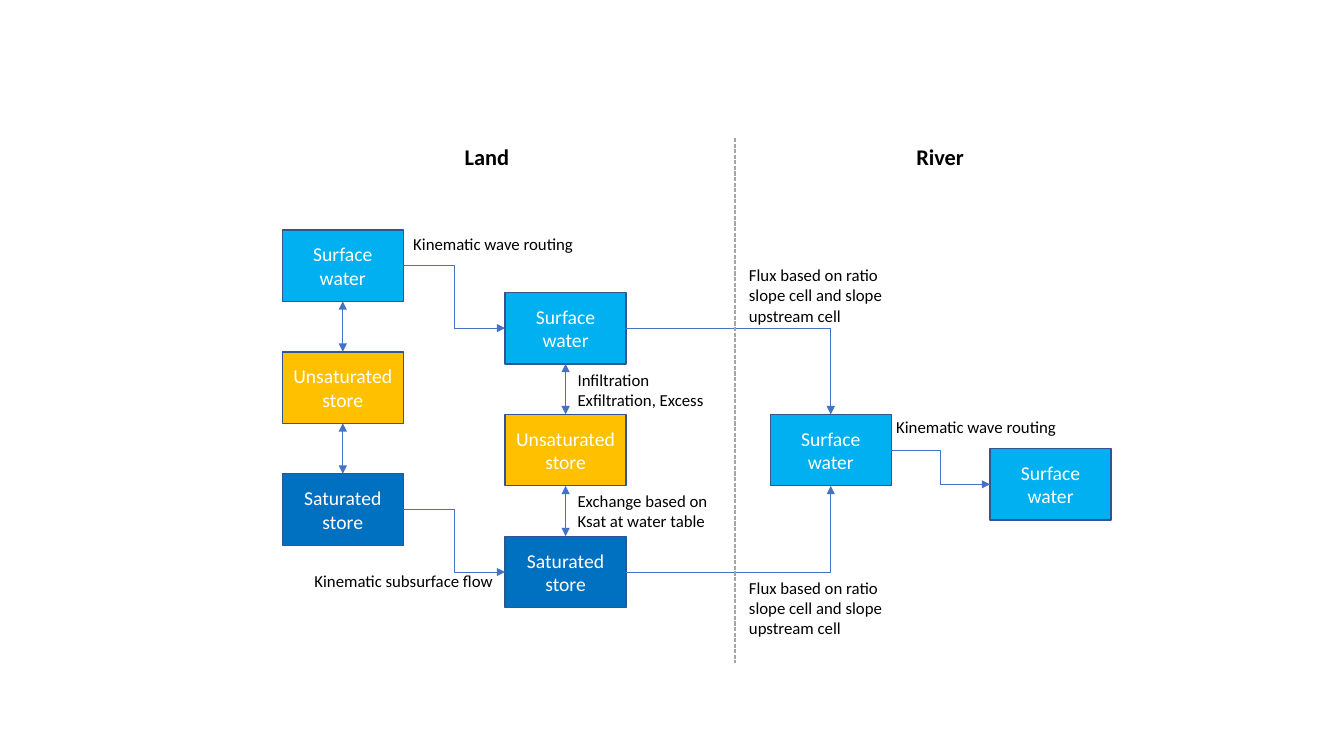
import lxml.etree
import pptx
import pptx.dml.color
import pptx.enum.dml
import pptx.enum.shapes
import pptx.enum.text
import pptx.oxml.ns
import pptx.util

PX = 9144  # 100 px to the inch

THEME = {
    "font": "Calibri",
    "surface": "00B0F0",
    "unsaturated": "FFC000",
    "saturated": "0070C0",
    "border": "325491",
    "arrow": "4472C4",
    "divider": "A5A5A5",
    "box_text": "FFFFFF",
    "text": "000000",
    "box_size": 14,
    "label_size": 12,
    "heading_size": 16,
}


def write_text(shape, text, size, color, frame_format, bold=False, alignment=None):
    frame = shape.text_frame
    frame.text = text
    for name, value in frame_format.items():
        setattr(frame, name, value)
    for paragraph in frame.paragraphs:
        paragraph.alignment = alignment
        font = paragraph.runs[0].font
        font_format = {"name": THEME["font"], "size": pptx.util.Pt(THEME[size]), "bold": bold}
        for name, value in font_format.items():
            setattr(font, name, value)
        font.color.rgb = pptx.dml.color.RGBColor.from_string(THEME[color])


def style_connector(connector, color, width, ends=()):
    connector.line.color.rgb = pptx.dml.color.RGBColor.from_string(THEME[color])
    connector.line.width = pptx.util.Pt(width)
    line = connector.line._get_or_add_ln()
    for end in ends:
        lxml.etree.SubElement(line, pptx.oxml.ns.qn("a:" + end), type="triangle")
    lxml.etree.SubElement(connector._element.spPr, pptx.oxml.ns.qn("a:effectLst"))


presentation = pptx.Presentation()
presentation.slide_width = 1333 * PX
presentation.slide_height = 750 * PX
slide = presentation.slides.add_slide(presentation.slide_layouts[6])

# Stores: two land columns of three layers, then two river cells
BOX_WIDTH, BOX_HEIGHT, LAYER_STEP = 120, 71, 121
layers = [
    ("surface", "Surface water"),
    ("unsaturated", "Unsaturated store"),
    ("saturated", "Saturated store"),
]
stores = [
    (column, kind, text, left, top + row * LAYER_STEP)
    for column, left, top in [("upstream", 280, 228), ("downstream", 501, 290)]
    for row, (kind, text) in enumerate(layers)
]
stores += [
    ("river", *layers[0], 764, 411),
    ("river outlet", *layers[0], 982, 445),
]
boxes = {}
for column, kind, text, left, top in stores:
    box = slide.shapes.add_shape(
        pptx.enum.shapes.MSO_SHAPE.RECTANGLE,
        left * PX, top * PX, BOX_WIDTH * PX, BOX_HEIGHT * PX,
    )
    box.shadow.inherit = False
    box.fill.solid()
    box.fill.fore_color.rgb = pptx.dml.color.RGBColor.from_string(THEME[kind])
    box.line.color.rgb = pptx.dml.color.RGBColor.from_string(THEME["border"])
    box.line.width = pptx.util.Pt(1)
    box_format = {"word_wrap": True, "vertical_anchor": pptx.enum.text.MSO_ANCHOR.MIDDLE}
    write_text(box, text, "box_size", "box_text", box_format,
               alignment=pptx.enum.text.PP_ALIGN.CENTER)
    boxes[column, kind] = box

# Flows between stores, glued to the sides of the boxes
TOP, LEFT, BOTTOM, RIGHT = range(4)
upstream, downstream, river, outlet = "upstream", "downstream", "river", "river outlet"
flows = [
    (column, upper, BOTTOM, column, lower, TOP, "line")
    for column in (upstream, downstream)
    for upper, lower in [("surface", "unsaturated"), ("unsaturated", "saturated")]
]
flows += [
    (upstream, "surface", RIGHT, downstream, "surface", LEFT, "bentConnector3"),
    (upstream, "saturated", RIGHT, downstream, "saturated", LEFT, "bentConnector3"),
    (downstream, "surface", RIGHT, river, "surface", TOP, "bentConnector2"),
    (downstream, "saturated", RIGHT, river, "surface", BOTTOM, "bentConnector2"),
    (river, "surface", RIGHT, outlet, "surface", LEFT, "bentConnector3"),
]
for from_column, from_kind, from_side, to_column, to_kind, to_side, route in flows:
    straight = route == "line"
    connector_type = pptx.enum.shapes.MSO_CONNECTOR
    connector = slide.shapes.add_connector(
        connector_type.STRAIGHT if straight else connector_type.ELBOW, 0, 0, 0, 0
    )
    connector.begin_connect(boxes[from_column, from_kind], from_side)
    connector.end_connect(boxes[to_column, to_kind], to_side)
    geometry = connector._element.spPr.find(pptx.oxml.ns.qn("a:prstGeom"))
    geometry.set("prst", route)
    style_connector(connector, "arrow", 0.5, ("headEnd", "tailEnd") if straight else ("tailEnd",))

# Headings and flow labels: text, left, top, width, height, wrap, size
flux = "Flux based on ratio slope cell and slope upstream cell"
labels = [
    ("Land", 451, 137, 65, 37, False, "heading_size"),
    ("River", 899, 137, 68, 37, True, "heading_size"),
    ("Kinematic wave routing", 400, 227, 181, 30, False, "label_size"),
    ("Kinematic subsurface flow", 302, 561, 199, 30, False, "label_size"),
    ("Kinematic wave routing", 879, 409, 208, 30, True, "label_size"),
    ("Infiltration\nExfiltration, Excess", 563, 362, 161, 50, True, "label_size"),
    ("Exchange based on Ksat at water table", 563, 482, 151, 71, True, "label_size"),
    (flux, 733, 568, 182, 91, True, "label_size"),
    (flux, 733, 258, 153, 91, True, "label_size"),
]
for text, left, top, width, height, wrap, size in labels:
    label = slide.shapes.add_textbox(left * PX, top * PX, width * PX, height * PX)
    label_format = {
        "word_wrap": wrap,
        "auto_size": pptx.enum.text.MSO_AUTO_SIZE.SHAPE_TO_FIT_TEXT,
    }
    write_text(label, text, size, "text", label_format, bold=size == "heading_size")

# Divider between land and river
divider = slide.shapes.add_connector(
    pptx.enum.shapes.MSO_CONNECTOR.STRAIGHT, 729 * PX, 137 * PX, 729 * PX, 658 * PX
)
style_connector(divider, "divider", 1)
divider.line.dash_style = pptx.enum.dml.MSO_LINE.SQUARE_DOT

presentation.save("out.pptx")
